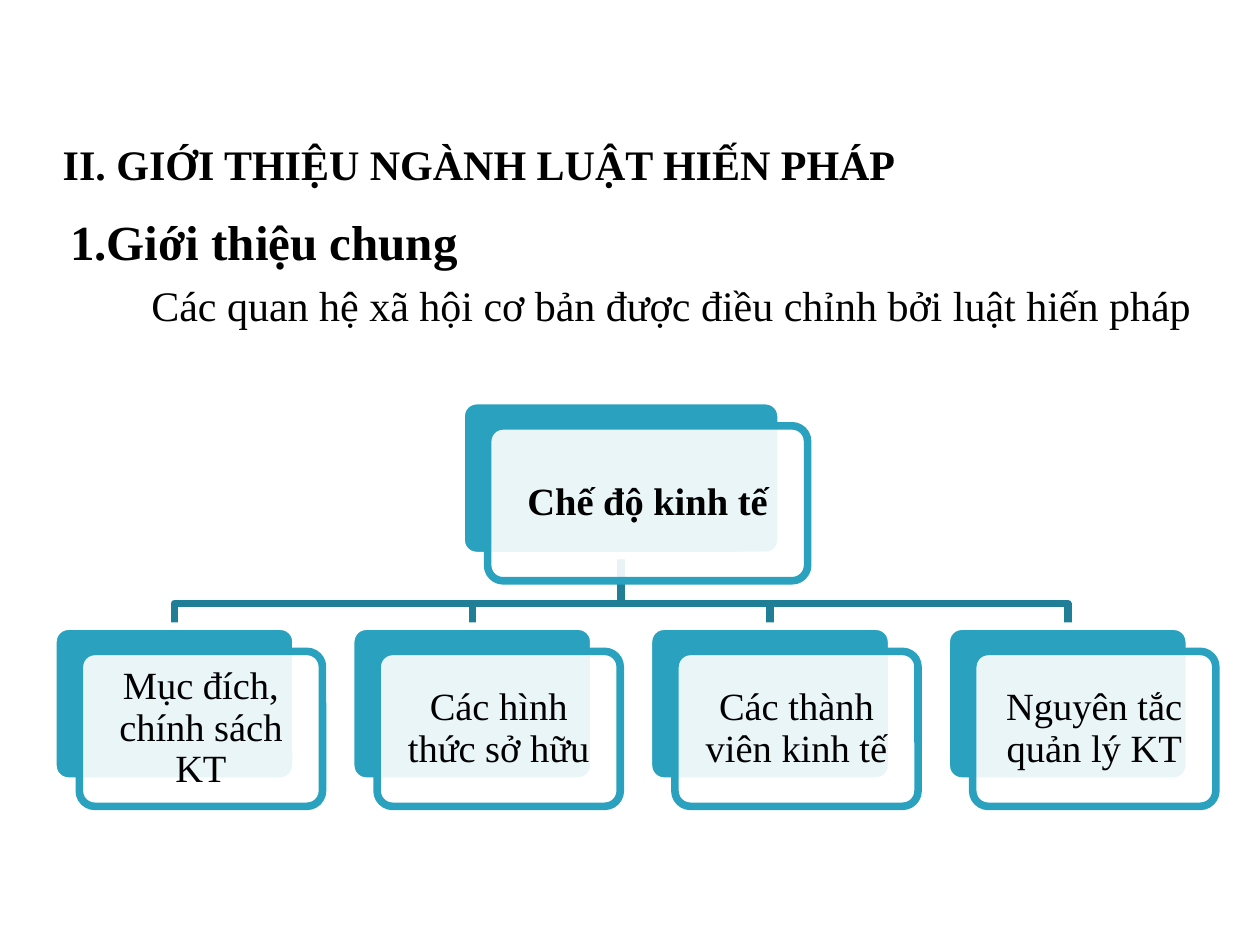
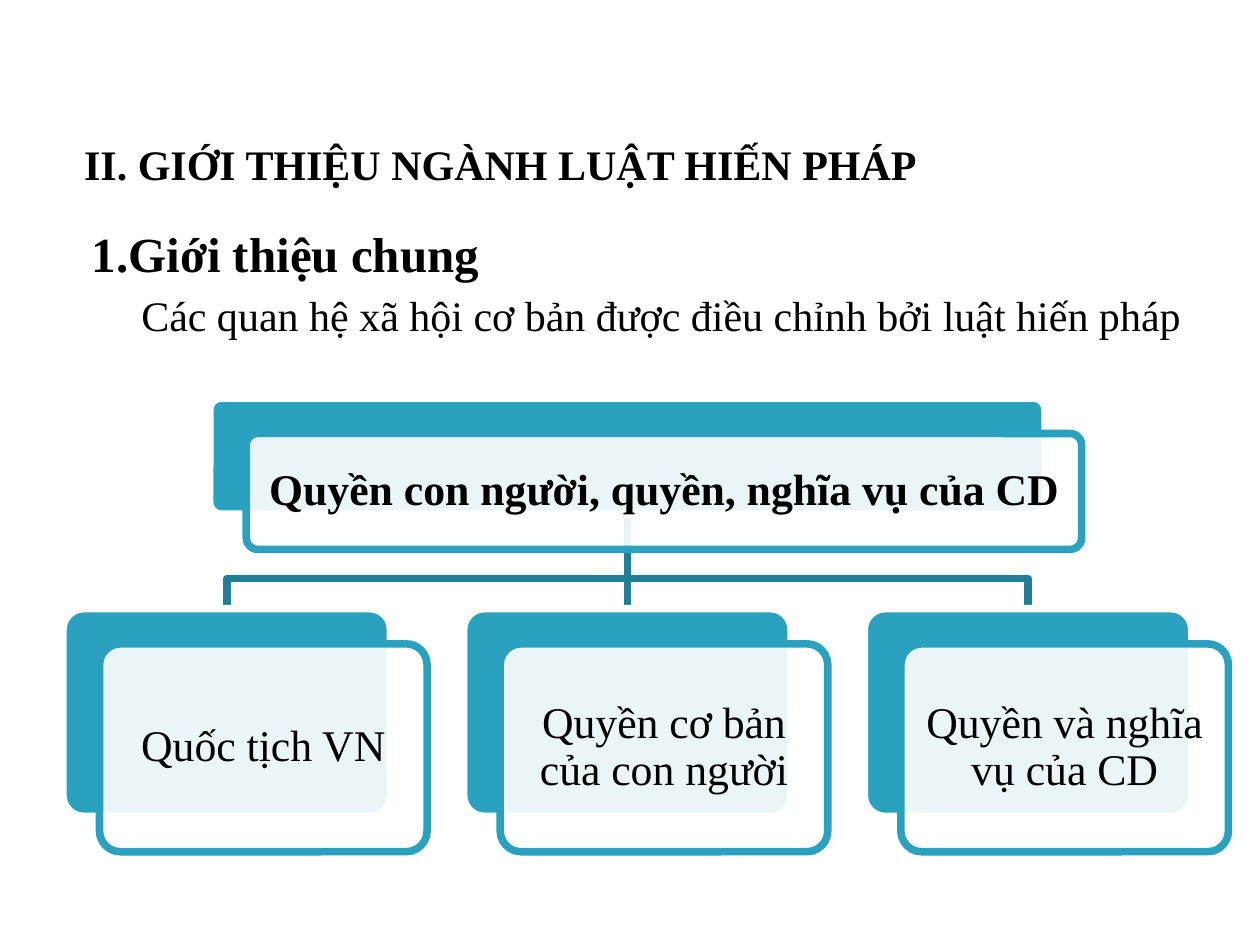
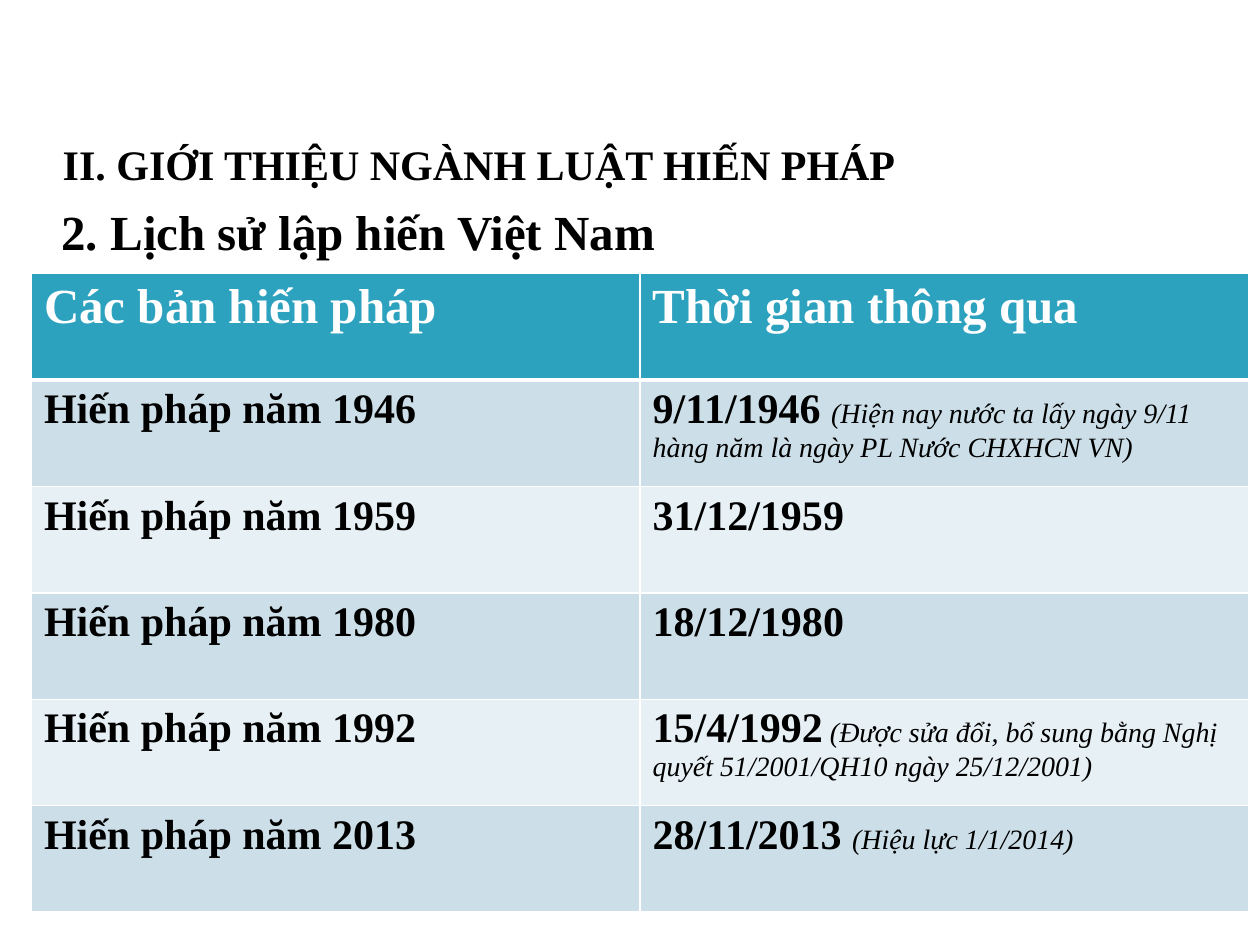
from pptx import Presentation
from pptx.dml.color import RGBColor
from pptx.enum.shapes import MSO_CONNECTOR, MSO_SHAPE
from pptx.enum.text import MSO_ANCHOR, PP_ALIGN
from pptx.oxml.ns import qn
from pptx.util import Inches, Pt
from lxml.etree import SubElement

FONT = "Times New Roman"
BLACK, WHITE = "000000", "FFFFFF"
CARD, BRANCH = "2AA2BF", "207F97"
HEADER, BAND_DARK, BAND_LIGHT = "2DA2BF", "CCDFE8", "E7F0F4"
CARD_LINE = 4.33
TITLE = "II. GIỚI THIỆU NGÀNH LUẬT HIẾN PHÁP "
GENERAL = "Giới thiệu chung"
RELATIONS = "Các quan hệ xã hội cơ bản được điều chỉnh bởi luật hiến pháp "
CONSTITUTIONS = [
    ("Hiến pháp năm 1946", "9/11/1946 ",
     "(Hiện nay nước ta lấy ngày 9/11 hàng năm là ngày PL Nước CHXHCN VN)"),
    ("Hiến pháp năm 1959", "31/12/1959", ""),
    ("Hiến pháp năm 1980", "18/12/1980", ""),
    ("Hiến pháp năm 1992", "15/4/1992",
     " (Được sửa đổi, bổ sung bằng Nghị quyết 51/2001/QH10 ngày 25/12/2001)"),
    ("Hiến pháp năm 2013", "28/11/2013 ", "(Hiệu lực 1/1/2014)"),
]


def rgb(value):
    """Turn a hex string into a colour."""
    return RGBColor.from_string(value)


def style_run(r, size, color=BLACK, bold=False, italic=False):
    """Give a run its font."""
    r.font.name, r.font.size = FONT, Pt(size)
    r.font.bold, r.font.italic = bold, italic
    r.font.color.rgb = rgb(color)


def add_text(s, box, text, size, bold=False, align=PP_ALIGN.CENTER):
    """Add a wrapped text box with one paragraph."""
    sp = s.shapes.add_textbox(*map(Inches, box))
    tf = sp.text_frame
    tf.word_wrap = True
    tf.text = text
    tf.paragraphs[0].alignment = align
    style_run(tf.paragraphs[0].runs[0], size, bold=bold)
    return tf


def add_title(s, left=0):
    """Add the chapter title."""
    tf = add_text(s, (left, 0.92, 7.67, 0.75), TITLE, 24, True)
    tf.vertical_anchor = MSO_ANCHOR.MIDDLE


def add_heading(s, box, text, margin, indent, numbered=False):
    """Add a section heading, numbered on request."""
    tf = add_text(s, box, text, 28, True, PP_ALIGN.LEFT)
    tf.margin_top = Inches(0.1)
    pPr = tf.paragraphs[0]._p.get_or_add_pPr()
    pPr.set("marL", str(Inches(margin)))
    pPr.set("indent", str(Inches(indent)))
    if numbered:
        SubElement(pPr, qn("a:buFont"), typeface="+mj-lt")
        SubElement(pPr, qn("a:buAutoNum"), type="arabicPeriod")


def add_rounded(s, box, fill, line):
    """Add a rounded rectangle with a thick outline."""
    sp = s.shapes.add_shape(MSO_SHAPE.ROUNDED_RECTANGLE, *map(Inches, box))
    sp.adjustments[0] = 0.1
    sp.shadow.inherit = False
    sp.fill.solid()
    sp.fill.fore_color.rgb = rgb(fill)
    sp.line.color.rgb = rgb(line)
    sp.line.width = Pt(CARD_LINE)
    return sp


def add_card(s, box, shift, text, size, inset, bold=False):
    """Add a solid card with a translucent text card shifted over it."""
    left, top, width, height = box
    add_rounded(s, box, CARD, WHITE)
    sp = add_rounded(s, (left + shift[0], top + shift[1], width, height), WHITE, CARD)
    SubElement(sp._element.spPr.find(".//" + qn("a:srgbClr")), qn("a:alpha"), val="90000")
    tf = sp.text_frame
    tf.word_wrap = True
    tf.vertical_anchor = MSO_ANCHOR.MIDDLE
    tf.margin_left = tf.margin_right = tf.margin_top = tf.margin_bottom = Inches(inset)
    tf.text = text
    p = tf.paragraphs[0]
    p.alignment, p.line_spacing = PP_ALIGN.CENTER, 0.9
    style_run(p.runs[0], size, bold=bold)


def add_branch(s, x1, y1, x2, y2, drop):
    """Join a parent to a child, bending at a drop above the child."""
    if abs(x1 - x2) < 0.01:
        sp = s.shapes.add_connector(MSO_CONNECTOR.STRAIGHT, *map(Inches, (x1, y1, x2, y2)))
        SubElement(sp._element.spPr, qn("a:effectLst"))
    else:
        builder = s.shapes.build_freeform(Inches(x1), Inches(y1))
        bends = [(x1, y2 - drop), (x2, y2 - drop), (x2, y2)]
        builder.add_line_segments([(Inches(x), Inches(y)) for x, y in bends], close=False)
        sp = builder.convert_to_shape()
        sp.fill.background()
        sp.shadow.inherit = False
    sp.line.color.rgb = rgb(BRANCH)
    sp.line.width = Pt(CARD_LINE)


def add_tree(s, root, children, span, root_box, child_box, shift, drop, size, inset):
    """Draw a root card centred over evenly spread child cards."""
    start, end = span
    root_top, root_width, root_height = root_box
    top, width, height = child_box
    center = (start + end) / 2
    pitch = (end - start - width) / (len(children) - 1)
    lefts = [start + i * pitch for i in range(len(children))]
    for left in reversed(lefts):
        add_branch(s, center, root_top + root_height, left + width / 2, top, drop)
    add_card(s, (center - root_width / 2, root_top, root_width, root_height),
             shift, root, size, inset, True)
    for left, text in zip(lefts, children):
        add_card(s, (left, top, width, height), shift, text, size, inset)


def set_borders(cell, bottom):
    """Draw white cell borders ahead of the cell fill."""
    tcPr = cell._tc.get_or_add_tcPr()
    for i, (side, width) in enumerate(zip("LRTB", (1, 1, 1, bottom))):
        ln = SubElement(tcPr, qn(f"a:ln{side}"), w=str(Pt(width)))
        fill = SubElement(ln, qn("a:solidFill"))
        SubElement(fill, qn("a:srgbClr"), val=WHITE)
        tcPr.insert(i, ln)


def fill_cell(cell, fill, text, size, color=BLACK, note="", bottom=1):
    """Write a bold cell text with an optional small italic note."""
    cell.fill.solid()
    cell.fill.fore_color.rgb = rgb(fill)
    set_borders(cell, bottom)
    cell.text_frame.text = text
    p = cell.text_frame.paragraphs[0]
    style_run(p.runs[0], size, color, True)
    if note:
        r = p.add_run()
        r.text = note
        style_run(r, 16, color, italic=True)


def add_history_table(s):
    """Add the table of constitutions and their dates."""
    box = map(Inches, (0.25, 2.17, 9.66, 5.07))
    table = s.shapes.add_table(len(CONSTITUTIONS) + 1, 2, *box).table
    for col, text in enumerate(("Các bản hiến pháp", "Thời gian thông qua")):
        fill_cell(table.cell(0, col), HEADER, text, 28, WHITE, bottom=3)
    for row, (name, date, note) in enumerate(CONSTITUTIONS, 1):
        fill = BAND_DARK if row % 2 else BAND_LIGHT
        fill_cell(table.cell(row, 0), fill, name, 24)
        fill_cell(table.cell(row, 1), fill, date, 24, note=note)


def main():
    """Build the three slides."""
    prs = Presentation()
    prs.slide_width, prs.slide_height = Inches(10), Inches(7.5)
    economy, rights, history = [prs.slides.add_slide(prs.slide_layouts[6]) for _ in range(3)]

    add_heading(economy, (-0.17, 1.58, 4.67, 0.83), GENERAL, 0.82, -0.19, True)
    add_text(economy, (0.83, 2.17, 9.08, 0.5), RELATIONS, 24)
    add_title(economy)
    add_tree(economy, "Chế độ kinh tế",
             ["Mục đích, chính sách KT", "Các hình thức sở hữu",
              "Các thành viên kinh tế", "Nguyên tắc quản lý KT"],
             span=(0.42, 9.44), root_box=(3.18, 2.54, 1.23), child_box=(4.97, 1.93, 1.23),
             shift=(0.21, 0.2), drop=0.18, size=22, inset=0.09)

    add_heading(rights, (0, 1.67, 8.75, 0.58), GENERAL, 0.82, -0.19, True)
    add_text(rights, (0.75, 2.25, 9.08, 0.5), RELATIONS, 24)
    add_title(rights, 0.17)
    add_tree(rights, "Quyền con người, quyền, nghĩa vụ của CD",
             ["Quốc tịch VN", "Quyền cơ bản của con người", "Quyền và nghĩa vụ của CD"],
             span=(0.5, 9.46), root_box=(3.16, 6.63, 0.92), child_box=(4.83, 2.6, 1.65),
             shift=(0.29, 0.28), drop=0.24, size=25, inset=0.1)

    add_heading(history, (-0.42, 1.5, 5.83, 0.58), "2. Lịch sử lập hiến Việt Nam", 0.62, 0.19)
    add_history_table(history)
    add_title(history)
    prs.save("out.pptx")


if __name__ == "__main__":
    main()
